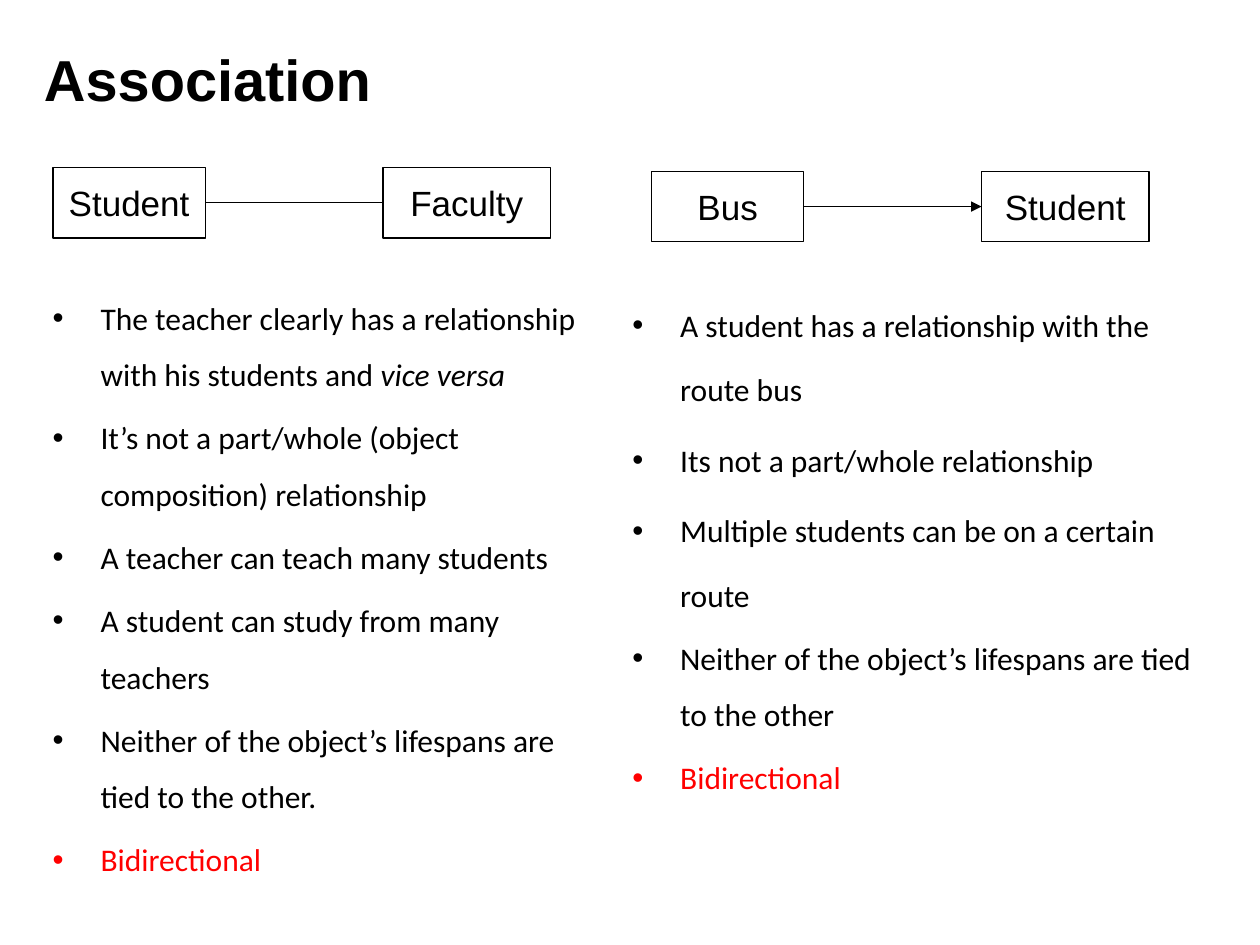
from dataclasses import dataclass

from lxml import etree
from pptx import Presentation
from pptx.dml.color import RGBColor
from pptx.enum.shapes import MSO_CONNECTOR, MSO_SHAPE
from pptx.enum.text import MSO_ANCHOR, PP_ALIGN
from pptx.oxml.ns import qn
from pptx.util import Inches, Pt

RECTANGLE = MSO_SHAPE.RECTANGLE
STRAIGHT = MSO_CONNECTOR.STRAIGHT
MIDDLE = MSO_ANCHOR.MIDDLE
CENTER = PP_ALIGN.CENTER
LEFT_SIDE, RIGHT_SIDE = 1, 3


@dataclass(frozen=True)
class Theme:
    ink: str = "000000"
    accent: str = "FF0000"
    heading_font: str = "Arial"
    body_font: str = "Calibri"
    title_size: float = 33
    class_size: float = 20
    body_size: float = 18
    line_width: float = 0.75
    paragraph_gap: float = 3.6
    bullet_indent: float = 0.38


class SlideBuilder:
    def __init__(self, slide, theme):
        self.slide = slide
        self.theme = theme

    def style_run(self, run, font, size, color, bold=False, italic=False):
        run.font.name = font
        run.font.size = Pt(size)
        run.font.color.rgb = RGBColor.from_string(color)
        run.font.bold = bold
        run.font.italic = italic

    def text_frame(self, left, top, width, height):
        frame = self.slide.shapes.add_textbox(
            Inches(left), Inches(top), Inches(width), Inches(height)
        ).text_frame
        frame.word_wrap = True
        return frame

    def title(self, text, left, top, width, height):
        frame = self.text_frame(left, top, width, height)
        frame.vertical_anchor = MIDDLE
        frame.text = text
        self.style_run(frame.paragraphs[0].runs[0], self.theme.heading_font,
                       self.theme.title_size, self.theme.ink, bold=True)

    def class_box(self, name, left, top, width, height):
        box = self.slide.shapes.add_shape(
            RECTANGLE, Inches(left), Inches(top), Inches(width), Inches(height)
        )
        box.shadow.inherit = False
        box.fill.background()
        box.line.color.rgb = RGBColor.from_string(self.theme.ink)
        box.line.width = Pt(self.theme.line_width)
        frame = box.text_frame
        frame.vertical_anchor = MIDDLE
        frame.text = name
        frame.paragraphs[0].alignment = CENTER
        self.style_run(frame.paragraphs[0].runs[0], self.theme.heading_font,
                       self.theme.class_size, self.theme.ink)
        return box

    def link(self, source, target, arrow):
        connector = self.slide.shapes.add_connector(STRAIGHT, 0, 0, 0, 0)
        connector.begin_connect(source, RIGHT_SIDE)
        connector.end_connect(target, LEFT_SIDE)
        connector.line.color.rgb = RGBColor.from_string(self.theme.ink)
        connector.line.width = Pt(self.theme.line_width)
        if arrow:
            line = connector.line._get_or_add_ln()
            etree.SubElement(line, qn("a:tailEnd"), type="triangle")
        etree.SubElement(connector._element.spPr, qn("a:effectLst"))

    def association(self, source_name, target_name, left, top, arrow=False):
        source = self.class_box(source_name, left, top, 1.21, 0.56)
        target = self.class_box(target_name, left + 2.62, top, 1.33, 0.56)
        self.link(source, target, arrow)

    def add_bullet(self, paragraph, color):
        properties = paragraph._p.get_or_add_pPr()
        indent = Inches(self.theme.bullet_indent)
        properties.set("marL", str(indent))
        properties.set("indent", str(-indent))
        bullet_color = etree.SubElement(properties, qn("a:buClr"))
        etree.SubElement(bullet_color, qn("a:srgbClr"), val=color)
        etree.SubElement(properties, qn("a:buFont"), typeface="Arial")
        etree.SubElement(properties, qn("a:buChar"), char="•")

    def bullets(self, points, left, top, width, height):
        frame = self.text_frame(left, top, width, height)
        for index, (text, italic_ending, spacing, color) in enumerate(points):
            paragraph = frame.add_paragraph() if index else frame.paragraphs[0]
            paragraph.text = text
            if italic_ending:
                paragraph.add_run().text = italic_ending
            paragraph.line_spacing = spacing
            if index:
                paragraph.space_before = Pt(self.theme.paragraph_gap)
            self.add_bullet(paragraph, color)
            for position, run in enumerate(paragraph.runs):
                self.style_run(run, self.theme.body_font, self.theme.body_size,
                               color, italic=position > 0)


def main():
    theme = Theme()
    presentation = Presentation()
    presentation.slide_width = Inches(10)
    presentation.slide_height = Inches(7.5)
    slide = presentation.slides.add_slide(presentation.slide_layouts[6])
    builder = SlideBuilder(slide, theme)

    faculty_points = [
        ("The teacher clearly has a relationship with his students and ",
         "vice versa", 1.5, theme.ink),
        ("It’s not a part/whole (object composition) relationship", "", 1.5, theme.ink),
        ("A teacher can teach many students", "", 1.5, theme.ink),
        ("A student can study from many teachers", "", 1.5, theme.ink),
        ("Neither of the object’s lifespans are tied to the other.", "", 1.5, theme.ink),
        ("Bidirectional", "", 1.5, theme.accent),
    ]
    bus_points = [
        ("A student has a relationship with the route bus", "", 1.7, theme.ink),
        ("Its not a part/whole relationship", "", 1.7, theme.ink),
        ("Multiple students can be on a certain route", "", 1.7, theme.ink),
        ("Neither of the object’s lifespans are tied to the other", "", 1.5, theme.ink),
        ("Bidirectional", "", 1.5, theme.accent),
    ]

    builder.title("Association", 0.25, 0.17, 9.75, 0.91)
    builder.bullets(faculty_points, 0.32, 2.17, 4.58, 4.42)
    builder.bullets(bus_points, 4.92, 2.17, 4.75, 4.5)
    builder.association("Student", "Faculty", 0.42, 1.33)
    builder.association("Bus", "Student", 5.17, 1.36, arrow=True)

    presentation.save("out.pptx")


if __name__ == "__main__":
    main()
